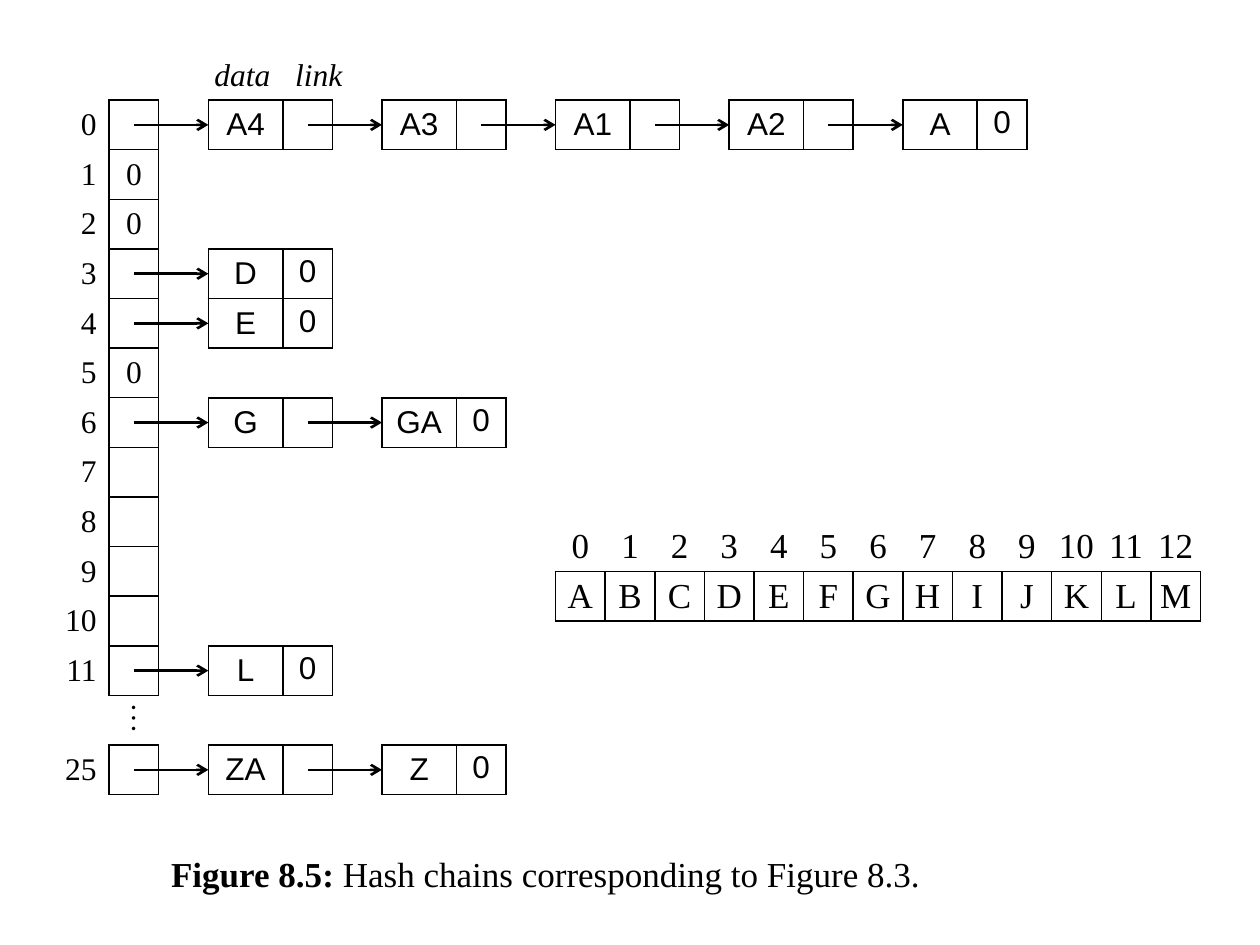
import pptx
import pptx.dml.color
import pptx.enum.shapes
import pptx.enum.text
import pptx.oxml
import pptx.oxml.ns
import pptx.util
from lxml import etree

Pt = pptx.util.Pt
ALIGN = pptx.enum.text.PP_ALIGN
ANCHOR = pptx.enum.text.MSO_ANCHOR
qn = pptx.oxml.ns.qn

BLACK = pptx.dml.color.RGBColor(0, 0, 0)
SERIF, SANS = "Times New Roman", "Arial"

CELL = 28.35
WIDE = 42.52
LEFT, TOP = 19.84, 57.2
NODE_LEFT, NODE_STEP = 119.06, 99.21
PAD = 2.83

CHAINS = {
    0: ["A4", "A3", "A1", "A2", "A"],
    3: ["D"],
    4: ["E"],
    6: ["G", "GA"],
    11: ["L"],
    13: ["ZA", "Z"],
}
BUCKETS = [str(number) for number in range(12)] + ["", "25"]
SLOT_TEXT = {1: "0", 2: "0", 5: "0", 12: "⋮"}
LETTERS = "ABCDEFGHIJKLM"


def add_span(para, text, **formats):
    span = para.add_run()
    span.text = text
    span.font.color.rgb = BLACK
    for name, value in formats.items():
        setattr(span.font, name, value)


def add_grid(page, left, top, widths, rows):
    """Add a plain table whose rows all have the height of one cell."""
    frame = page.shapes.add_table(rows, len(widths), Pt(left), Pt(top),
                                  Pt(sum(widths)), Pt(CELL * rows))
    table = frame.table
    table.first_row = table.horz_banding = False
    for column, width in zip(table.columns, widths):
        column.width = Pt(width)
    for row in table.rows:
        row.height = Pt(CELL)
    return table


def set_cell(cell, text, edges="LRTB", align=ALIGN.CENTER,
             anchor=ANCHOR.MIDDLE, side=0, pad=0, font=SERIF, size=18):
    """Fill a cell; edges names the sides that have a visible border."""
    formats = {"margin_left": Pt(side), "margin_right": Pt(side),
               "margin_top": Pt(pad), "margin_bottom": Pt(pad),
               "vertical_anchor": anchor}
    for name, value in formats.items():
        setattr(cell, name, value)
    cell.fill.background()
    properties = cell._tc.get_or_add_tcPr()
    for index, edge in enumerate("LRTB"):
        line = etree.Element(qn(f"a:ln{edge}"), w=str(Pt(1)))
        if edge in edges:
            fill = etree.SubElement(line, qn("a:solidFill"))
            etree.SubElement(fill, qn("a:srgbClr"), val=str(BLACK))
        else:
            etree.SubElement(line, qn("a:noFill"))
        properties.insert(index, line)
    para = cell.text_frame.paragraphs[0]
    para.alignment = align
    if text:
        add_span(para, text, name=font, size=Pt(size))


def add_text(page, left, top, width, height, spans, align=ALIGN.LEFT,
             anchor=ANCHOR.TOP):
    box = page.shapes.add_textbox(Pt(left), Pt(top), Pt(width), Pt(height))
    frame = box.text_frame
    frame.word_wrap = True
    frame.vertical_anchor = anchor
    frame.margin_top = frame.margin_bottom = Pt(PAD)
    para = frame.paragraphs[0]
    para.alignment = align
    for text, formats in spans:
        add_span(para, text, name=SERIF, **formats)


def add_arrow(page, left, right, middle):
    arrow = page.shapes.add_connector(
        pptx.enum.shapes.MSO_CONNECTOR.STRAIGHT,
        Pt(left), Pt(middle), Pt(right), Pt(middle))
    arrow.line.color.rgb = BLACK
    arrow.line.width = Pt(1.5)
    etree.SubElement(arrow.line._get_or_add_ln(), qn("a:tailEnd"), type="arrow")
    etree.SubElement(arrow._element.spPr, qn("a:effectLst"))


def add_buckets(page, left, top):
    table = add_grid(page, left, top, [WIDE, CELL], len(BUCKETS))
    for row, label in enumerate(BUCKETS):
        set_cell(table.cell(row, 0), label, edges="R" if label else "",
                 align=ALIGN.RIGHT, side=7.2)
        set_cell(table.cell(row, 1), SLOT_TEXT.get(row, ""),
                 edges="LRTB" if label else "TB", side=5.67)


def add_chain(page, left, top, names):
    """Draw linked nodes, each with an arrow from the slot before it."""
    for index, name in enumerate(names):
        node_left = left + index * NODE_STEP
        node = add_grid(page, node_left, top, [WIDE, CELL], 1)
        set_cell(node.cell(0, 0), name, side=7.2, pad=PAD, font=SANS)
        last = index == len(names) - 1
        set_cell(node.cell(0, 1), "0" if last else "", anchor=ANCHOR.TOP,
                 side=7.2, pad=PAD if last else 0, font=SANS)
        add_arrow(page, node_left - WIDE, node_left, top + CELL / 2)


def add_node_labels(page, left, top):
    style = {"size": Pt(18), "italic": True}
    width = 2 * CELL
    add_text(page, left, top, width, CELL, [("data", style)], ALIGN.RIGHT)
    add_text(page, left + width, top, WIDE, CELL, [("link", style)])


def add_letter_index(page, left, top):
    table = add_grid(page, left, top, [CELL] * len(LETTERS), 2)
    for column, letter in enumerate(LETTERS):
        set_cell(table.cell(0, column), str(column), edges="B", size=20)
        set_cell(table.cell(1, column), letter, size=20)


def add_caption(page, left, top, width, height):
    spans = [("Figure 8.5: ", {"size": Pt(20), "bold": True}),
             ("Hash chains corresponding to Figure 8.3.", {"size": Pt(20)})]
    add_text(page, left, top, width, height, spans, anchor=ANCHOR.MIDDLE)


def main():
    deck = pptx.Presentation()
    deck.slide_width, deck.slide_height = Pt(720), Pt(540)
    page = deck.slides.add_slide(deck.slide_layouts[6])
    add_caption(page, 90.7, 482.4, 453.6, 33.84)
    add_buckets(page, LEFT, TOP)
    add_node_labels(page, LEFT + 2 * WIDE, TOP - CELL)
    for row, names in CHAINS.items():
        add_chain(page, NODE_LEFT, TOP + row * CELL, names)
    add_letter_index(page, NODE_LEFT + 2 * NODE_STEP, 298.3)
    deck.save("out.pptx")


if __name__ == "__main__":
    main()
